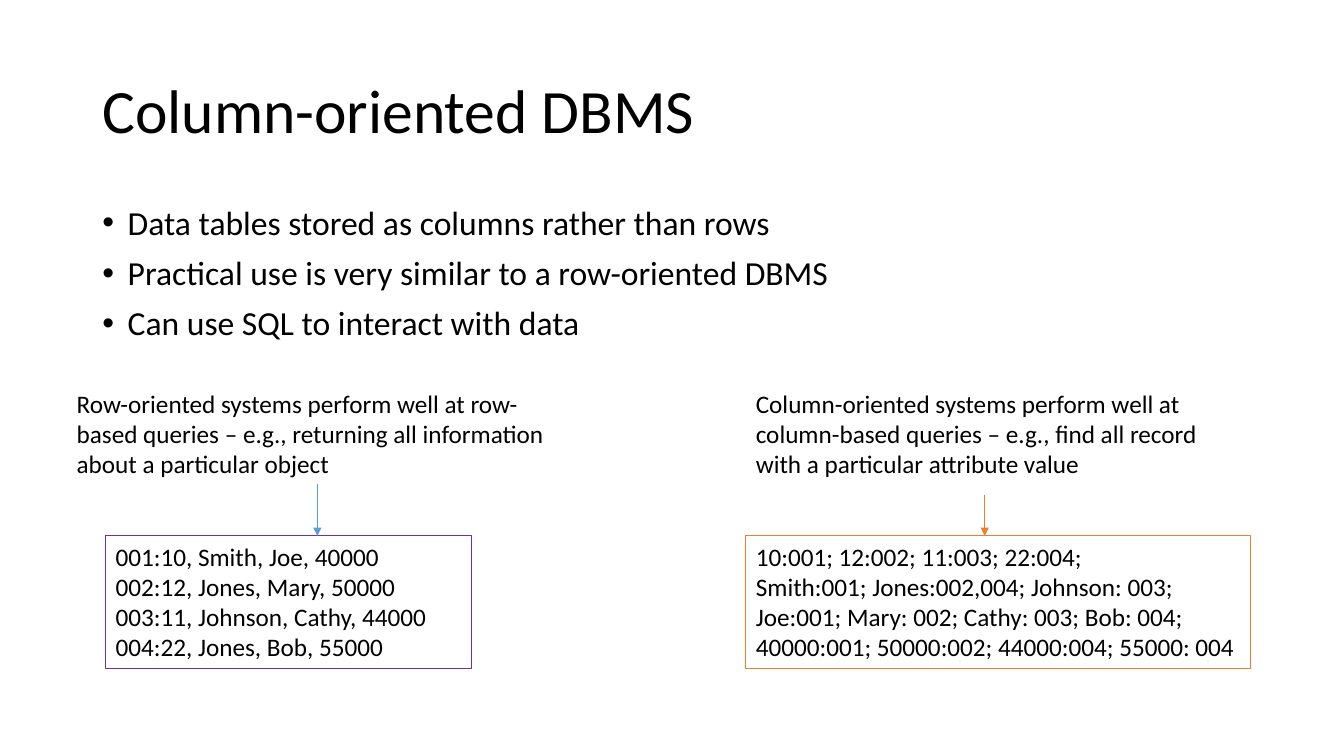
from dataclasses import dataclass

from pptx import Presentation
from pptx.dml.color import RGBColor
from pptx.enum import shapes, text
from pptx.oxml import ns, xmlchemy as xml
from pptx.util import Pt


@dataclass(frozen=True)
class Theme:
    """Colours, font and type sizes of the slide."""
    font: str = "Calibri"
    ink: str = "000000"
    row: str = "7030A0"
    col: str = "ED7D31"
    blue: str = "5B9BD5"
    title: int = 44
    body: int = 24
    note: int = 18


T = Theme()
MID = text.MSO_ANCHOR.MIDDLE
TOP = text.MSO_ANCHOR.TOP
GROW = text.MSO_AUTO_SIZE.SHAPE_TO_FIT_TEXT
FIXED = text.MSO_AUTO_SIZE.NONE


def rgb(code):
    """Turn a hex code into a colour."""
    return RGBColor.from_string(code)


def write(shape, lines, size=T.note, anchor=TOP, fit=GROW, wrap=True,
          lead=None, before=0, hang=0):
    """Fill a shape with formatted paragraphs."""
    frame = shape.text_frame
    frame.text = "\n".join(lines)
    frame.word_wrap = wrap
    frame.auto_size = fit
    frame.vertical_anchor = anchor
    for para in frame.paragraphs:
        para.alignment = text.PP_ALIGN.LEFT
        para.space_before = Pt(before)
        if lead:
            para.line_spacing = lead
        if hang:
            props = para._p.get_or_add_pPr()
            props.set("marL", str(Pt(hang)))
            props.set("indent", str(-Pt(hang)))
        font = para.runs[0].font
        font.name = T.font
        font.size = Pt(size)
        font.color.rgb = rgb(T.ink)


def place(shape, left, top, width, height):
    """Move and size a shape."""
    shape.left, shape.top = Pt(left), Pt(top)
    shape.width, shape.height = Pt(width), Pt(height)


def note(slide, box, line):
    """Add a plain text box."""
    shape = slide.shapes.add_textbox(*map(Pt, box))
    write(shape, [line])


def frame(slide, box, lines, color, wrap=True):
    """Add an outlined box of records."""
    shape = slide.shapes.add_shape(shapes.MSO_SHAPE.RECTANGLE, *map(Pt, box))
    shape.shadow.inherit = False
    shape.fill.background()
    shape.line.color.rgb = rgb(color)
    shape.line.width = Pt(0.75)
    write(shape, lines, wrap=wrap)


def arrow(slide, x, top, end, color):
    """Add a downward arrow."""
    line = slide.shapes.add_connector(
        shapes.MSO_CONNECTOR.STRAIGHT, Pt(x), Pt(top), Pt(x), Pt(end))
    line.line.color.rgb = rgb(color)
    line.line.width = Pt(0.5)
    head = xml.OxmlElement("a:tailEnd")
    head.set("type", "triangle")
    props = line._element.spPr
    props.find(ns.qn("a:ln")).append(head)
    props.append(xml.OxmlElement("a:effectLst"))


def main():
    """Build and save the slide."""
    deck = Presentation()
    deck.slide_width, deck.slide_height = Pt(960), Pt(540)
    slide = deck.slides.add_slide(deck.slide_layouts[1])
    title, body = slide.placeholders

    place(title, 66, 28.75, 828, 104.4)
    write(title, ["Column-oriented DBMS"], size=T.title, anchor=MID,
          fit=FIXED, lead=0.9)
    place(body, 66, 143.75, 828, 116)
    write(body, ["Data tables stored as columns rather than rows",
                 "Practical use is very similar to a row-oriented DBMS",
                 "Can use SQL to interact with data"],
          size=T.body, fit=FIXED, lead=0.9, before=10, hang=18)

    high, upper, lower, right = 94.5, 273.6, 382.8, 532.8
    frame(slide, (75.5, lower, 261.5, high),
          ["001:10, Smith, Joe, 40000",
           "002:12, Jones, Mary, 50000",
           "003:11, Johnson, Cathy, 44000",
           "004:22, Jones, Bob, 55000"], T.row)
    note(slide, (47.7, upper, 357.8, high),
         "Row-oriented systems perform well at row-based queries – e.g., "
         "returning all information about a particular object")
    note(slide, (right, upper, 344, high),
         "Column-oriented systems perform well at column-based queries – "
         "e.g., find all record with a particular attribute value")
    arrow(slide, 226.7, 345.6, lower, T.blue)
    frame(slide, (right, lower, 360.7, high),
          ["10:001; 12:002; 11:003; 22:004;",
           "Smith:001; Jones:002,004; Johnson: 003;",
           "Joe:001; Mary: 002; Cathy: 003; Bob: 004;",
           "40000:001; 50000:002; 44000:004; 55000: 004"],
          T.col, wrap=False)
    arrow(slide, 703.4, 353.5, lower, T.col)
    deck.save("out.pptx")


if __name__ == "__main__":
    main()
